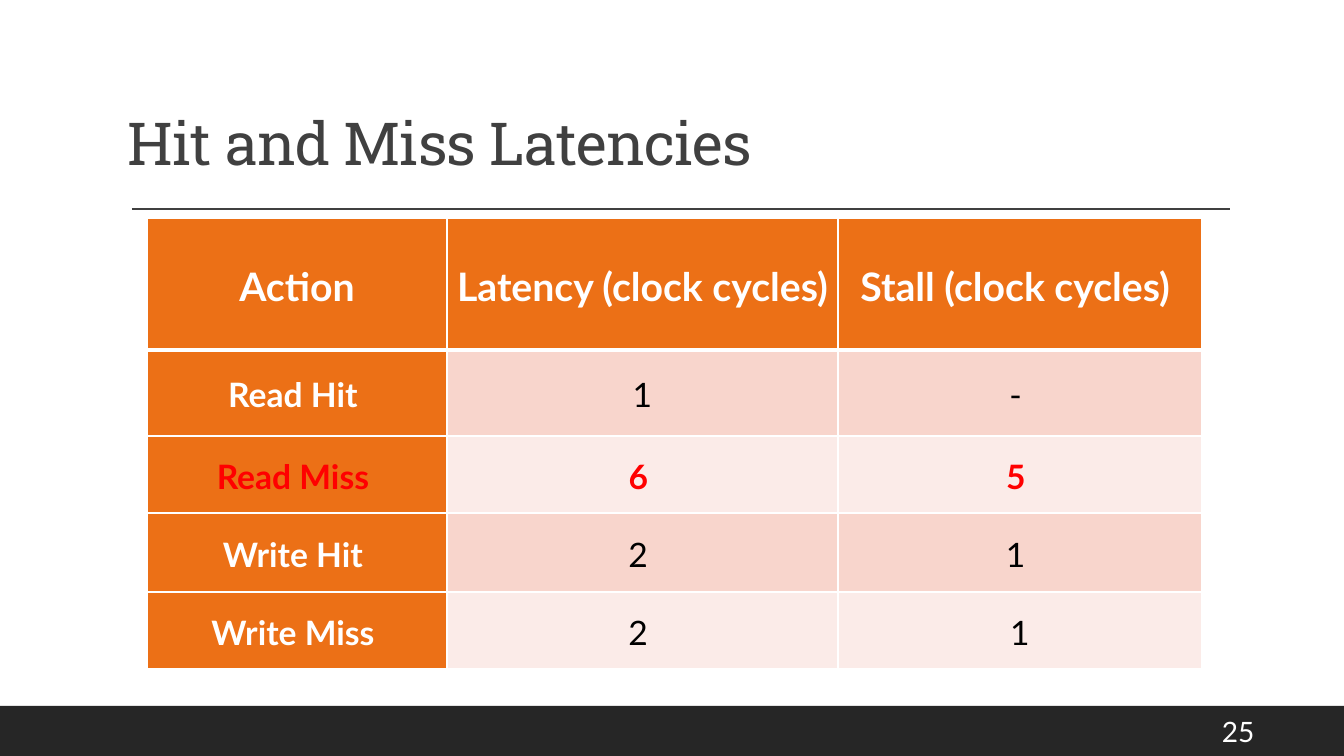
import pptx
import pptx.util
import pptx.dml.color
import pptx.enum.shapes
import pptx.enum.text
import pptx.oxml
import pptx.oxml.ns

Pt = pptx.util.Pt
ANCHOR = pptx.enum.text.MSO_ANCHOR
ALIGN = pptx.enum.text.PP_ALIGN
NS = pptx.oxml.ns.nsdecls("a")

COLORS = {
    "white": "FFFFFF", "black": "000000", "red": "FF0000",
    "title": "404040", "footer": "262626", "orange": "EC7016",
    "band_dark": "F8D5CC", "band_light": "FBEBE8",
}


def px(n):
    return round(n * 914400 / 100.8)


def rgb(name):
    return pptx.dml.color.RGBColor.from_string(COLORS[name])


class Deck:
    body, heading = "Lato", "Roboto Slab"

    def __init__(self, prs):
        self.s = prs.slides.add_slide(prs.slide_layouts[6])

    def run(self, p, text, size, color, font=body, bold=False, spacing=None):
        r = p.add_run()
        r.text = text
        r.font.name, r.font.size, r.font.bold = font, Pt(size), bold
        r.font.color.rgb = rgb(color)
        if spacing is not None:
            r.font._element.set("spc", str(spacing))

    def rect(self, x, y, w, h, color):
        sp = self.s.shapes.add_shape(
            pptx.enum.shapes.MSO_SHAPE.RECTANGLE, px(x), px(y), px(w), px(h))
        sp.shadow.inherit = False
        sp.fill.solid()
        sp.fill.fore_color.rgb = rgb(color)
        sp.line.fill.background()

    def line(self, x1, y1, x2, y2, color, width):
        ln = self.s.shapes.add_connector(
            pptx.enum.shapes.MSO_CONNECTOR.STRAIGHT, px(x1), px(y1), px(x2), px(y2))
        ln.line.color.rgb = rgb(color)
        ln.line.width = Pt(width)
        ln._element.spPr.append(pptx.oxml.parse_xml(f"<a:effectLst {NS}/>"))

    def text(self, x, y, w, h, text, size, color, anchor, line_spacing=1.0, **style):
        tf = self.s.shapes.add_textbox(px(x), px(y), px(w), px(h)).text_frame
        tf.word_wrap = True
        tf.vertical_anchor = anchor
        p = tf.paragraphs[0]
        p.line_spacing = line_spacing
        self.run(p, text, size, color, **style)

    def borders(self, cell, color, **widths):
        tcPr = cell._tc.get_or_add_tcPr()
        for side in "LRTB":
            tcPr.append(pptx.oxml.parse_xml(
                f'<a:ln{side} {NS} w="{Pt(widths.get(side, 1))}"><a:solidFill>'
                f'<a:srgbClr val="{COLORS[color]}"/></a:solidFill></a:ln{side}>'))

    def cell(self, cell, text, size, color, fill, bold, **widths):
        self.borders(cell, "white", **widths)
        cell.fill.solid()
        cell.fill.fore_color.rgb = rgb(fill)
        cell.vertical_anchor = ANCHOR.MIDDLE
        cell.margin_left = cell.margin_right = px(8)
        cell.margin_top, cell.margin_bottom = px(1), 0
        p = cell.text_frame.paragraphs[0]
        p.alignment, p.line_spacing, p.space_after = ALIGN.CENTER, 1.07, Pt(8)
        self.run(p, text, size, color, bold=bold)

    def table(self, x, y, cols, rows, data, highlight):
        tbl = self.s.shapes.add_table(
            len(rows), len(cols), px(x), px(y), px(sum(cols)), px(sum(rows))).table
        for col, w in zip(tbl.columns, cols):
            col.width = px(w)
        for row, h in zip(tbl.rows, rows):
            row.height = px(h)
        for i, values in enumerate(data):
            for j, value in enumerate(values):
                label = i == 0 or j == 0
                fill = "orange" if label else "band_dark" if i % 2 else "band_light"
                color = "red" if i == highlight else "white" if label else "black"
                # Thick rule between the header and the body
                widths = {0: {"B": 3}, 1: {"T": 3}}.get(i, {})
                self.cell(tbl.cell(i, j), value, 24 if i else 28, color, fill,
                          label or i == highlight, **widths)


prs = pptx.Presentation()
prs.slide_width, prs.slide_height = px(1344), px(756)
deck = Deck(prs)

# Footer bar and title rule
deck.rect(0, 706, 1344, 50, "footer")
deck.line(132, 209, 1230, 209, "title", 1)

# Title and page number
deck.text(118, 105, 1112, 78, "Hit and Miss Latencies", 42.3, "title",
          ANCHOR.BOTTOM, 0.9, font=Deck.heading, spacing=-50)
deck.text(1212, 711, 86, 40, "25", 20, "white", ANCHOR.MIDDLE)

# Latency table
latencies = [
    ("Action", "Latency (clock cycles) ", "Stall (clock cycles) "),
    ("Read Hit ", "1", "- "),
    ("Read Miss ", "6 ", "5 "),
    ("Write Hit ", "2 ", "1 "),
    ("Write Miss ", "2 ", "1"),
]
deck.table(147, 218, [300, 391, 364], [132, 86, 77, 79, 77], latencies, highlight=2)

prs.save("out.pptx")
